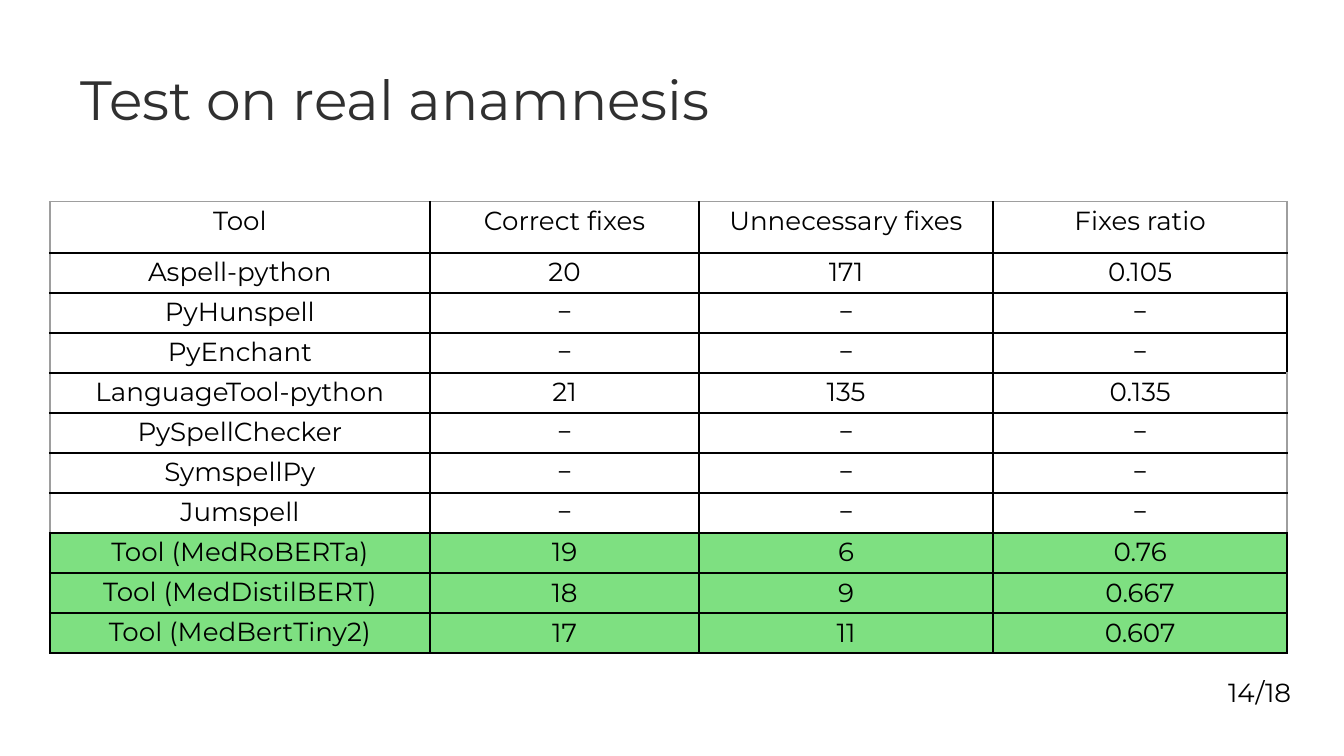
from typing import NamedTuple

from lxml.etree import SubElement
from pptx import Presentation
from pptx.dml.color import RGBColor
from pptx.enum.text import MSO_ANCHOR, MSO_AUTO_SIZE, PP_ALIGN
from pptx.oxml.ns import qn
from pptx.util import Cm, Pt

FONT = "Montserrat"
BLACK, DARK, GREY, GREEN = "000000", "303030", "9E9E9E", "7EE081"


class Row(NamedTuple):
    tool: str
    fixed: str = "−"
    extra: str = "−"
    ratio: str = "−"


class Label(NamedTuple):
    text: str
    left: float
    top: float
    width: float
    height: float
    size: float
    color: str
    anchor: MSO_ANCHOR
    wrap: bool


ROWS = [
    Row("Tool", "Correct fixes", "Unnecessary fixes", "Fixes ratio"),
    Row("Aspell-python", "20", "171", "0.105"),
    Row("PyHunspell"),
    Row("PyEnchant"),
    Row("LanguageTool-python", "21", "135", "0.135"),
    Row("PySpellChecker"),
    Row("SymspellPy"),
    Row("Jumspell"),
    Row("Tool (MedRoBERTa)", "19", "6", "0.76"),
    Row("Tool (MedDistilBERT)", "18", "9", "0.667"),
    Row("Tool (MedBertTiny2)", "17", "11", "0.607"),
]
OURS = 8  # first row of our own tools
DARK_RIGHT = {2, 3}  # other rows with a black right edge

LABELS = [
    Label("14/18", 22.96, 12.67, 1.88, 0.86, 14, BLACK, MSO_ANCHOR.TOP, False),
    Label("Test on real anamnesis", 1.27, 1.09, 19.23, 1.52, 29.6, DARK,
          MSO_ANCHOR.BOTTOM, True),
]

WIDTHS = [7.19, 5.08, 5.56, 5.56]
HEIGHT, HEAD = 8.54, 0.97


def rgb(code: str) -> RGBColor:
    return RGBColor.from_string(code)


def style(para, size: float, color: str) -> None:
    para.font.name = FONT
    para.font.size = Pt(size)
    para.font.color.rgb = rgb(color)


def add_label(slide, label: Label) -> None:
    box = slide.shapes.add_textbox(Cm(label.left), Cm(label.top),
                                   Cm(label.width), Cm(label.height))
    frame = box.text_frame
    frame.word_wrap = label.wrap
    frame.auto_size = MSO_AUTO_SIZE.NONE
    frame.vertical_anchor = label.anchor
    frame.text = label.text
    style(frame.paragraphs[0], label.size, label.color)


def add_edge(cell, side: str, color: str) -> None:
    line = SubElement(cell._tc.get_or_add_tcPr(), qn(f"a:ln{side}"), w=str(Pt(1)))
    fill = SubElement(line, qn("a:solidFill"))
    SubElement(fill, qn("a:srgbClr"), val=color)


def edges(row: int, col: int) -> dict[str, str]:
    """The outer frame is grey, except around our own tools."""
    ours = row >= OURS
    last = col == len(WIDTHS) - 1
    return {
        "L": GREY if col == 0 and not ours else BLACK,
        "R": GREY if last and not ours and row not in DARK_RIGHT else BLACK,
        "T": GREY if row == 0 else BLACK,
        "B": BLACK,
    }


def fill_cell(cell, text: str, row: int, col: int) -> None:
    cell.margin_left = cell.margin_right = Cm(0.15)
    cell.margin_top = cell.margin_bottom = Cm(0.07)
    middle = row > OURS and col > 0
    cell.vertical_anchor = MSO_ANCHOR.MIDDLE if middle else MSO_ANCHOR.TOP
    cell.text = text
    para = cell.text_frame.paragraphs[0]
    para.alignment = PP_ALIGN.CENTER
    style(para, 14, BLACK)
    # Edges come before the fill in the cell's XML
    for side, color in edges(row, col).items():
        add_edge(cell, side, color)
    if row >= OURS:
        cell.fill.solid()
        cell.fill.fore_color.rgb = rgb(GREEN)
    else:
        cell.fill.background()


def add_grid(slide) -> None:
    table = slide.shapes.add_table(len(ROWS), len(WIDTHS), Cm(0.94), Cm(3.81),
                                   Cm(sum(WIDTHS)), Cm(HEIGHT)).table
    table.first_row = table.horz_banding = False
    for col, width in zip(table.columns, WIDTHS):
        col.width = Cm(width)
    body = (HEIGHT - HEAD) / (len(ROWS) - 1)
    for r, values in enumerate(ROWS):
        table.rows[r].height = Cm(body if r else HEAD)
        for c, text in enumerate(values):
            fill_cell(table.cell(r, c), text, r, c)


def main() -> None:
    deck = Presentation()
    deck.slide_width, deck.slide_height = Cm(25.4), Cm(14.29)
    slide = deck.slides.add_slide(deck.slide_layouts[6])

    # Page number and title
    for label in LABELS:
        add_label(slide, label)

    # Results
    add_grid(slide)
    deck.save("out.pptx")


if __name__ == "__main__":
    main()
